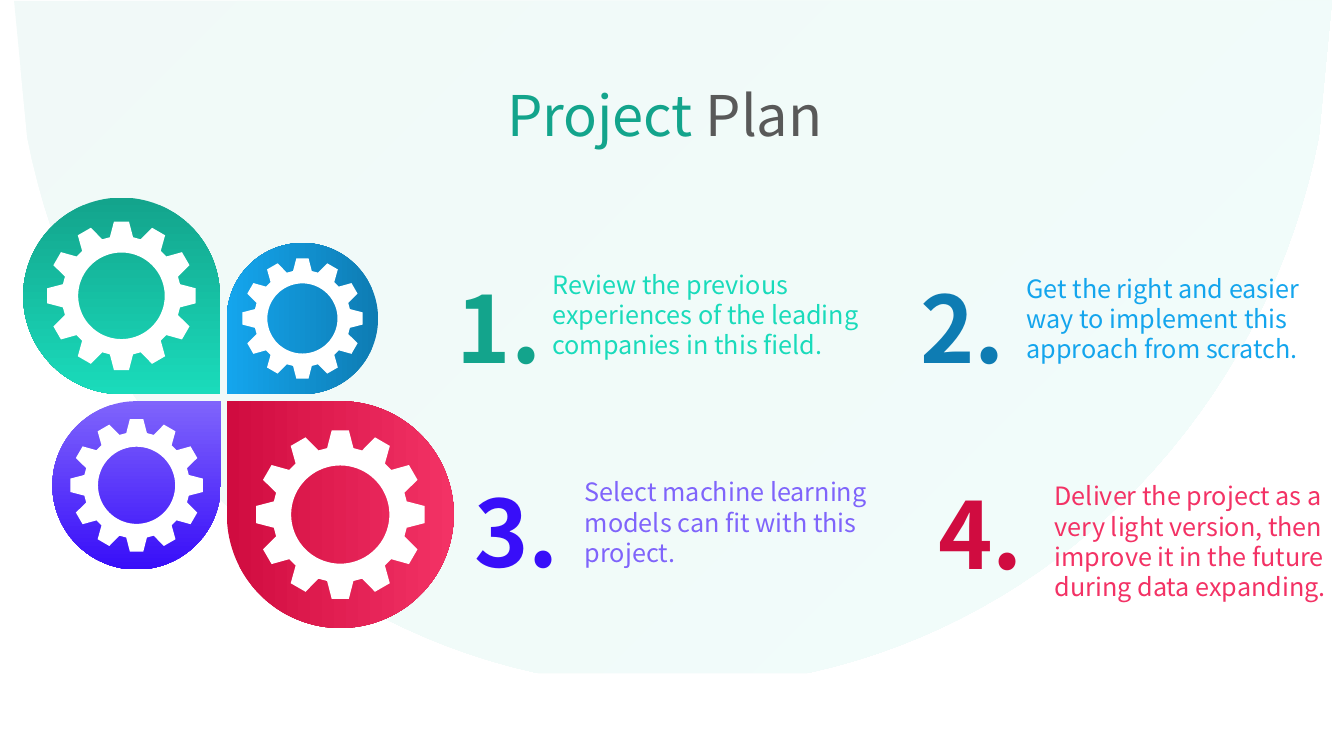
from math import cos, pi, radians, sin

from lxml import etree
from pptx import Presentation
from pptx.dml.color import RGBColor
from pptx.enum.shapes import MSO_SHAPE
from pptx.enum.text import MSO_ANCHOR, PP_ALIGN
from pptx.oxml.ns import qn
from pptx.util import Inches, Pt

TEAR, RECTANGLE = MSO_SHAPE.TEAR, MSO_SHAPE.RECTANGLE
TOP = MSO_ANCHOR.TOP
LEFT, CENTER = PP_ALIGN.LEFT, PP_ALIGN.CENTER
FONT = "Noto Sans CJK JP"
WHITE, GREY = "FFFFFF", "595959"
TEAL = ("13A48C", "1ADBBB")
BLUE = ("0E7CB3", "14A5ED")
PURPLE = ("380EF9", "7F64FB")
RED = ("D00C40", "F33265")
DIAGONAL, DOWN, ACROSS = 315, 270, 0
TEETH = 12

PETALS = [
    {"at": (2.25, 2.41), "size": 1.5, "turn": 180, "colours": BLUE, "angle": ACROSS, "gear": 0.6},
    {"at": (2.25, 3.98), "size": 2.25, "turn": 270, "colours": RED, "angle": DOWN, "gear": 0.84},
    {"at": (0.52, 3.98), "size": 1.67, "turn": 0, "colours": PURPLE[::-1], "angle": DOWN, "gear": 0.66},
    {"at": (0.23, 1.96), "size": 1.95, "turn": 90, "colours": TEAL, "angle": ACROSS, "gear": 0.74},
]
STEPS = [
    ("1.", (4.32, 2.64, 1.26, 1.21), TEAL, (5.38, 2.67, 3.47, 1.36),
     "Review the previous experiences of the leading companies in this field."),
    ("2.", (8.91, 2.64, 1.27, 1.21), BLUE, (10.08, 2.71, 3, 1.42),
     "Get the right and easier way to implement this approach from scratch."),
    ("3.", (4.56, 4.66, 1.13, 1.21), PURPLE, (5.7, 4.73, 2.94, 1.27),
     "Select machine learning models can fit with this project."),
    ("4.", (8.98, 4.68, 1.49, 1.21), RED, (10.36, 4.77, 2.89, 1.94),
     "Deliver the project as a very light version, then improve it in the future during data expanding."),
]


def colour(code):
    """Turn a hex string into a colour."""
    return RGBColor.from_string(code)


def paint(fill, colours, angle=DIAGONAL):
    """Fill with one colour or with a two-colour gradient."""
    if isinstance(colours, str):
        fill.solid()
        fill.fore_color.rgb = colour(colours)
        return
    fill.gradient()
    fill.gradient_angle = angle
    for stop, code in zip(fill.gradient_stops, colours):
        stop.color.rgb = colour(code)


def finish(shape, colours, angle=DIAGONAL):
    """Paint a shape and remove its line and shadow."""
    paint(shape.fill, colours, angle)
    shape.line.fill.background()
    shape.shadow.inherit = False


def add_block(shapes, kind, place, colours, angle=DIAGONAL, turn=0):
    """Add a preset shape."""
    block = shapes.add_shape(kind, *map(Inches, place))
    block.rotation = turn
    finish(block, colours, angle)


def add_outline(shapes, contours, colours):
    """Add a closed outline made of one or more contours."""
    builder = None
    for contour in contours:
        points = [(Inches(x), Inches(y)) for x, y in contour]
        if builder is None:
            builder = shapes.build_freeform(*points[0])
        else:
            builder.move_to(*points[0])
        builder.add_line_segments(points[1:], close=True)
    outline = builder.convert_to_shape()
    finish(outline, colours)
    return outline


def add_gear(shapes, x, y, radius):
    """Add a white toothed ring around a centre."""
    def around(angle, reach):
        return x + radius * reach * sin(angle), y - radius * reach * cos(angle)

    profile = ((-11.2, 0.8), (-5.8, 1), (5.8, 1), (11.2, 0.8))
    teeth = [around(2 * pi * tooth / TEETH + radians(offset), reach)
             for tooth in range(TEETH) for offset, reach in profile]
    hole = [around(-2 * pi * step / 72, 0.58) for step in range(72)]
    add_outline(shapes, [teeth, hole], WHITE)


def curve(start, first, second, end, count=40):
    """Return the points of a cubic curve after its start."""
    points = []
    for step in range(1, count + 1):
        t = step / count
        weights = ((1 - t) ** 3, 3 * t * (1 - t) ** 2, 3 * t * t * (1 - t), t ** 3)
        points.append(tuple(sum(w * p[axis] for w, p in zip(weights, (start, first, second, end)))
                            for axis in (0, 1)))
    return points


def add_bowl(shapes):
    """Add the pale rounded backdrop."""
    right, bottom, left = (13.08, 1.36), (6.67, 6.82), (0.27, 1.36)
    edge = [(0.14, 0.01), (13.21, 0.01), right]
    edge += curve(right, (12.47, 4.48), (9.83, 6.82), bottom)
    edge += curve(bottom, (3.51, 6.82), (0.88, 4.48), left)
    bowl = add_outline(shapes, [edge], TEAL)
    for code in bowl._element.spPr.iter(qn("a:srgbClr")):
        etree.SubElement(code, qn("a:alpha")).set("val", "5000")


def add_text(shapes, place, spans, size=18, bold=False, align=LEFT, inset=(0.1, 0.05), indent=0, spacing=None, before=0):
    """Add a text box with one paragraph of coloured spans."""
    frame = shapes.add_textbox(*map(Inches, place)).text_frame
    frame.word_wrap = True
    frame.vertical_anchor = TOP
    frame.margin_left = frame.margin_right = Inches(inset[0])
    frame.margin_top = frame.margin_bottom = Inches(inset[1])
    para = frame.paragraphs[0]
    para.alignment = align
    para.line_spacing = spacing
    para.space_before = Pt(before)
    para._p.get_or_add_pPr().set("marL", str(Inches(indent)))
    for words, colours in spans:
        span = para.add_run()
        span.text = words
        span.font.name = FONT
        span.font.size = Pt(size)
        span.font.bold = bold
        paint(span.font.fill, colours)


def add_petal(page, at, size, turn, colours, angle, gear):
    """Add a petal with a gear at its centre."""
    shapes = page.shapes.add_group_shape().shapes
    add_block(shapes, TEAR, (*at, size, size), colours, angle, turn)
    add_gear(shapes, at[0] + size / 2, at[1] + size / 2, gear)


def add_step(page, number, number_place, colours, words_place, words):
    """Add a large number with its description."""
    shapes = page.shapes.add_group_shape().shapes
    add_text(shapes, number_place, [(number, colours)], size=66, bold=True, align=CENTER)
    add_text(shapes, words_place, [(words, colours[::-1])], inset=(0, 0), indent=0.1)


def main():
    """Build the project plan slide."""
    deck = Presentation()
    deck.slide_width, deck.slide_height = Inches(13.33), Inches(7.5)
    page = deck.slides.add_slide(deck.slide_layouts[6])
    add_bowl(page.shapes)
    for petal in PETALS:
        add_petal(page, **petal)
    for step in STEPS:
        add_step(page, *step)
    add_text(page.shapes, (3.63, 0.83, 5.93, 0.79), [("Project", TEAL), (" Plan", GREY)],
             size=40, align=CENTER, spacing=0.9, before=16)
    add_block(page.shapes, RECTANGLE, (0.23, 6.68, 12.68, 0.71), WHITE)
    deck.save("out.pptx")


if __name__ == "__main__":
    main()
